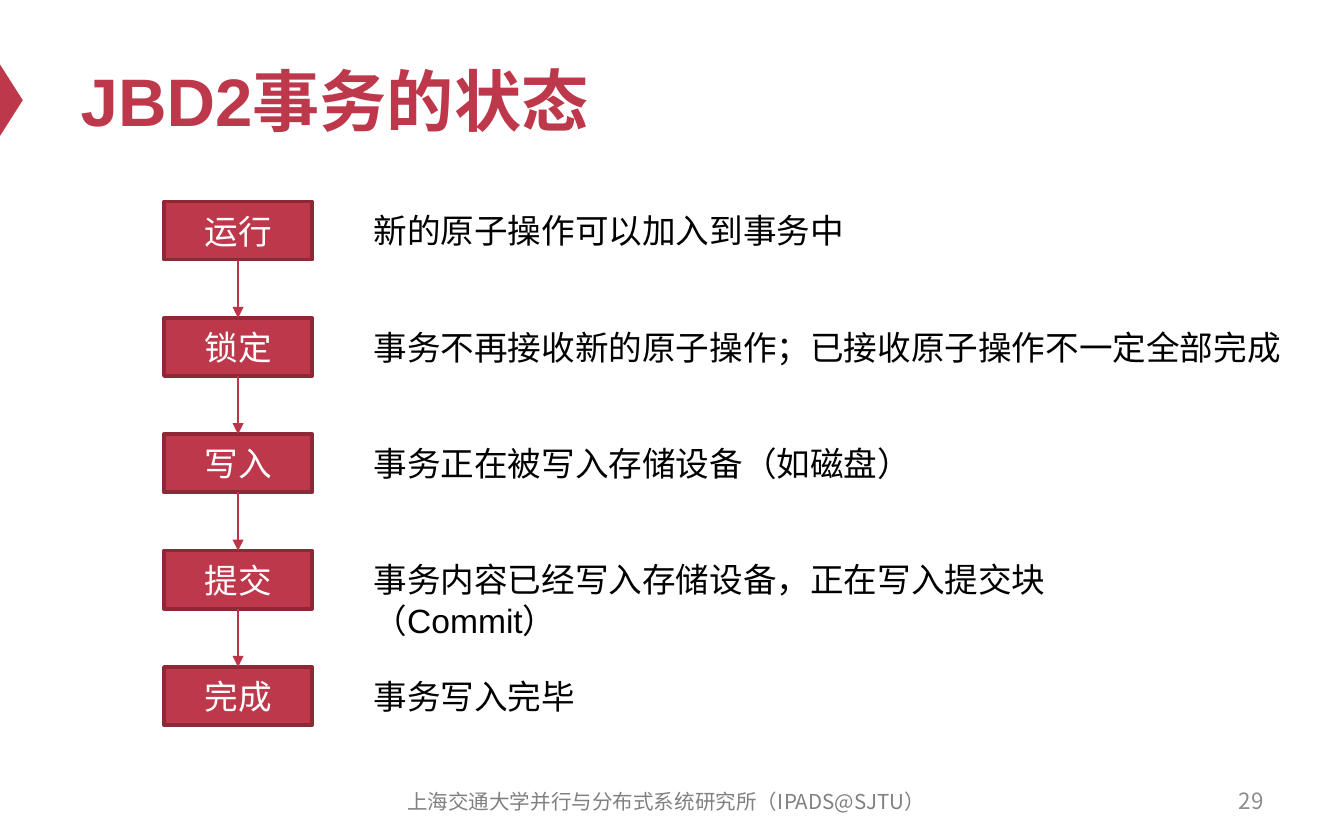
import dataclasses

import lxml.etree
import pptx
import pptx.dml.color
import pptx.enum.shapes
import pptx.enum.text
import pptx.oxml.ns
import pptx.util
from pptx.util import Cm

ALIGN = pptx.enum.text.PP_ALIGN
SHAPE = pptx.enum.shapes.MSO_SHAPE
qn = pptx.oxml.ns.qn


@dataclasses.dataclass(frozen=True)
class Theme:
    accent: str = "BE384B"
    outline: str = "8D2937"
    arrow: str = "BD3347"
    light: str = "FFFFFF"
    text: str = "000000"
    footer: str = "808080"
    number: str = "8C8C8C"
    latin_font: str = "Arial"
    chinese_font: str = "Noto Sans CJK SC"
    title_size: int = 36
    body_size: int = 18
    number_size: int = 12
    footer_size: int = 11


def rgb(color):
    return pptx.dml.color.RGBColor.from_string(color)


class SlideBuilder:
    def __init__(self, slide, theme):
        self.slide = slide
        self.theme = theme

    def set_text(self, shape, text, size, color, align=ALIGN.LEFT, font=None, bold=False,
                 anchor=pptx.enum.text.MSO_ANCHOR.MIDDLE):
        frame = shape.text_frame
        frame.text = text
        frame.word_wrap = True
        frame.auto_size = pptx.enum.text.MSO_AUTO_SIZE.NONE
        frame.vertical_anchor = anchor
        paragraph = frame.paragraphs[0]
        paragraph.alignment = align
        paragraph.font.size = pptx.util.Pt(size)
        paragraph.font.bold = bold
        paragraph.font.color.rgb = rgb(color)
        paragraph.font.name = font or self.theme.latin_font
        latin = next(paragraph._p.iter(qn("a:latin")))
        east_asian = lxml.etree.Element(qn("a:ea"), typeface=self.theme.chinese_font)
        latin.addnext(east_asian)

    def title(self, text, left, top, width, height):
        title = self.slide.shapes.title
        title.left, title.top, title.width, title.height = left, top, width, height
        self.set_text(title, text, self.theme.title_size, self.theme.accent, bold=True)

    def textbox(self, text, left, top, width, height, size, color, **style):
        box = self.slide.shapes.add_textbox(left, top, width, height)
        self.set_text(box, text, size, color, **style)

    def shape(self, kind, left, top, width, height):
        shape = self.slide.shapes.add_shape(kind, left, top, width, height)
        shape.shadow.inherit = False
        shape.fill.solid()
        shape.fill.fore_color.rgb = rgb(self.theme.accent)
        shape.line.fill.background()
        return shape

    def state(self, text, left, top, width, height):
        box = self.shape(SHAPE.RECTANGLE, left, top, width, height)
        box.line.color.rgb = rgb(self.theme.outline)
        box.line.width = pptx.util.Pt(2)
        self.set_text(box, text, self.theme.body_size, self.theme.light, ALIGN.CENTER)
        return box

    def arrow(self, upper, lower):
        """Join the bottom of one box to the top of the next."""
        connector = self.slide.shapes.add_connector(
            pptx.enum.shapes.MSO_CONNECTOR.STRAIGHT, 0, 0, 0, 0)
        connector.begin_connect(upper, 2)
        connector.end_connect(lower, 0)
        connector.line.color.rgb = rgb(self.theme.arrow)
        connector.line.width = pptx.util.Pt(1.5)
        properties = connector._element.spPr
        line = properties.find(qn("a:ln"))
        lxml.etree.SubElement(line, qn("a:tailEnd"), type="triangle")
        lxml.etree.SubElement(properties, qn("a:effectLst"))


# State, description, width of the description in centimetres
STATES = [
    ("运行", "新的原子操作可以加入到事务中", 9.5),
    ("锁定", "事务不再接收新的原子操作；已接收原子操作不一定全部完成", 17.9),
    ("写入", "事务正在被写入存储设备（如磁盘）", 10.9),
    ("提交", "事务内容已经写入存储设备，正在写入提交块（Commit）", 16),
    ("完成", "事务写入完毕", 4.4),
]
FIRST_TOP, ROW_STEP = 3.81, 2.2


def main():
    presentation = pptx.Presentation()
    presentation.slide_width = Cm(25.4)
    presentation.slide_height = Cm(15.88)
    theme = Theme()
    slide = presentation.slides.add_slide(presentation.slide_layouts[5])
    builder = SlideBuilder(slide, theme)

    marker = builder.shape(SHAPE.ISOSCELES_TRIANGLE, Cm(-0.46), Cm(1.68), Cm(1.35), Cm(0.43))
    marker.rotation = 90
    builder.title("JBD2事务的状态", Cm(1.27), Cm(0.64), Cm(22.86), Cm(2.49))

    previous = None
    for row, (name, description, width) in enumerate(STATES):
        top = FIRST_TOP + row * ROW_STEP
        box = builder.state(name, Cm(3.1), Cm(top), Cm(2.8), Cm(1.1))
        builder.textbox(description, Cm(6.81), Cm(top + 0.04), Cm(width), Cm(1.02),
                        theme.body_size, theme.text, anchor=pptx.enum.text.MSO_ANCHOR.TOP)
        if previous is not None:
            builder.arrow(previous, box)
        previous = box

    builder.textbox("上海交通大学并行与分布式系统研究所（IPADS@SJTU）",
                    Cm(7.09), Cm(14.73), Cm(11), Cm(0.84), theme.footer_size, theme.footer,
                    align=ALIGN.CENTER, font=theme.chinese_font)
    builder.textbox("29", Cm(18.21), Cm(14.71), Cm(5.92), Cm(0.84), theme.number_size,
                    theme.number, align=ALIGN.RIGHT, font=theme.chinese_font)
    presentation.save("out.pptx")


if __name__ == "__main__":
    main()
